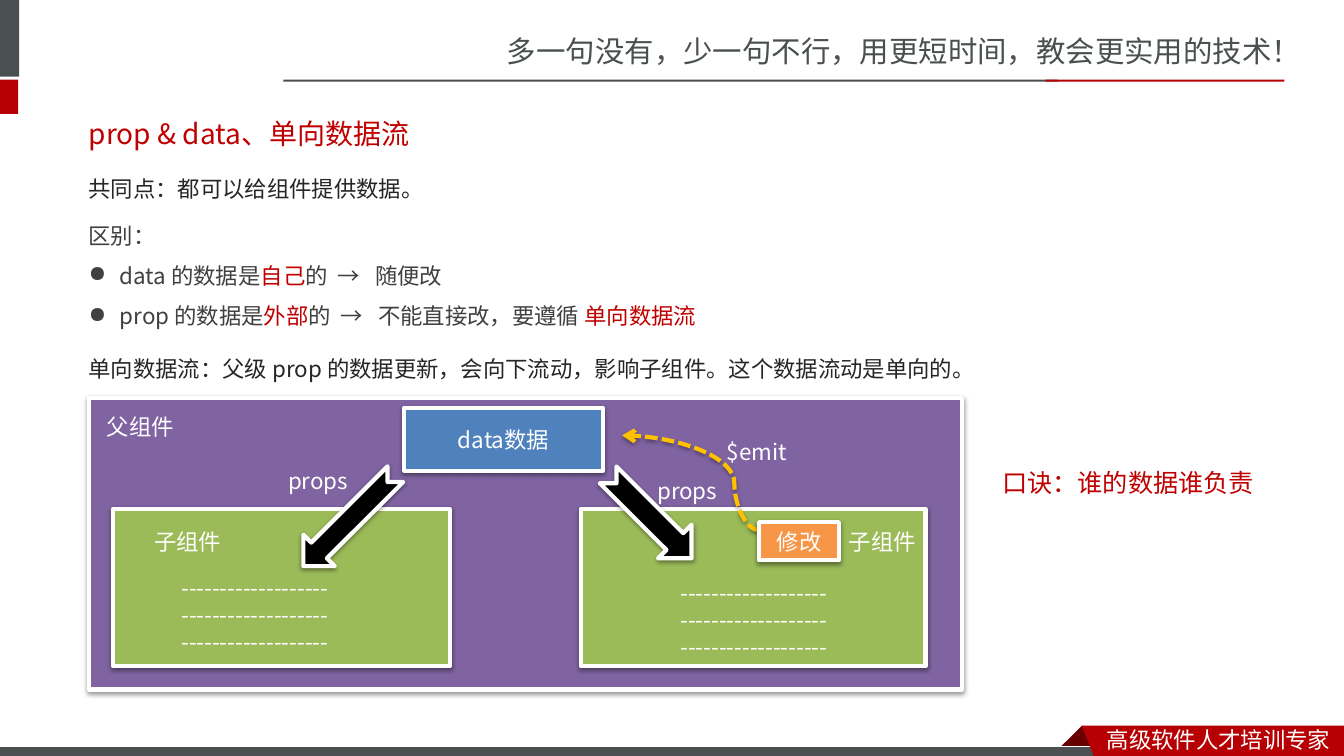
from lxml import etree
from pptx import Presentation, util as u
from pptx.dml.color import RGBColor
from pptx.enum import dml, shapes, text
from pptx.oxml.ns import qn

PX = 9144  # EMU in one px, 100 px to the inch
SANS = "Noto Sans CJK JP"
HEAD = "Noto Sans CJK SC"
RED, GREY, WHITE = "C00000", "49504F", "FFFFFF"
CRIMSON, DARK, SOFT = "B60004", "262626", "404040"
RECT = shapes.MSO_SHAPE.RECTANGLE
ARROW = shapes.MSO_SHAPE.NOTCHED_RIGHT_ARROW


def rgb(code):
    return RGBColor.from_string(code)


def px(*nums):
    return [u.Emu(n * PX) for n in nums]


def sub(node, tag, **attrs):
    return etree.SubElement(node, qn(tag), attrs)


def style(para, size, color, face=SANS):
    font = para.font
    font.size, font.name = u.Pt(size), face
    font.color.rgb = rgb(color)
    sub(font._element, "a:ea", typeface=face)


def write(frame, lines, size, color, face=SANS):
    """Each line is a list of (words, colour); colour None keeps the base."""
    frame.word_wrap = True
    for i, line in enumerate(lines):
        para = frame.add_paragraph() if i else frame.paragraphs[0]
        style(para, size, color, face)
        for words, tint in line:
            run = para.add_run()
            run.text = words
            if tint:
                run.font.color.rgb = rgb(tint)
    return frame.paragraphs


def label(slide, box, words, size=16, color=WHITE, face=SANS):
    frame = slide.shapes.add_textbox(*px(*box)).text_frame
    lines = [[(line, None)] for line in words.split("\n")]
    return write(frame, lines, size, color, face)


def point(slide, box, words):
    para = label(slide, box, words, color=DARK)[0]
    para.line_spacing, para.space_before = 1.3, u.Pt(3.2)


def shade(shape):
    """Soft shadow that falls straight down."""
    effects = sub(shape._element.spPr, "a:effectLst")
    drop = sub(effects, "a:outerShdw", blurRad="40000", dist="20000",
               dir="5400000", rotWithShape="0")
    sub(sub(drop, "a:srgbClr", val="000000"), "a:alpha", val="38000")


def paint(shape, fill):
    shape.shadow.inherit = False
    shape.fill.solid()
    shape.fill.fore_color.rgb = rgb(fill)
    shape.line.fill.background()
    return shape


def bar(slide, box, fill):
    return paint(slide.shapes.add_shape(RECT, *px(*box)), fill)


def outline(slide, spots, fill):
    pen = slide.shapes.build_freeform(*spots[0], scale=PX)
    pen.add_line_segments(spots[1:], close=True)
    paint(pen.convert_to_shape(), fill)


def block(slide, box, fill, words="", kind=RECT, turn=0):
    shape = slide.shapes.add_shape(kind, *px(*box))
    shape.fill.solid()
    shape.fill.fore_color.rgb = rgb(fill)
    shape.line.color.rgb = rgb(WHITE)
    shape.line.width = u.Pt(3)
    shape.rotation = turn
    shade(shape)
    if words:
        frame = shape.text_frame
        frame.vertical_anchor = text.MSO_ANCHOR.MIDDLE
        para = write(frame, [[(words, None)]], 16, WHITE)[0]
        para.alignment = text.PP_ALIGN.CENTER


def curve(slide, ends, color, bend):
    link = slide.shapes.add_connector(shapes.MSO_CONNECTOR.CURVE, *px(*ends))
    link.line.color.rgb = rgb(color)
    link.line.width = u.Pt(3)
    link.line.dash_style = dml.MSO_LINE.SQUARE_DOT
    sub(link.line._get_or_add_ln(), "a:tailEnd", type="arrow")
    guides = link._element.spPr.find(qn("a:prstGeom")).get_or_add_avLst()
    sub(guides, "a:gd", name="adj1", fmla=f"val {bend}")
    shade(link)


def frame_page(slide):
    """Header and footer bands."""
    label(slide, (493, 28, 841, 47),
          "多一句没有，少一句不行，用更短时间，教会更实用的技术！", 21, GREY, HEAD)
    bar(slide, (-6, 0, 25, 76), GREY)
    bar(slide, (-6, 79, 24, 34), CRIMSON)
    bar(slide, (281, 79, 768, 2), GREY)
    bar(slide, (1037, 79, 237, 2), CRIMSON)
    outline(slide, [(1073, 720), (1095, 742), (1094, 743), (1052, 743),
                    (1051, 742)], "680000")
    strip = bar(slide, (-1, 741, 1100, 12), GREY)
    strip.line.color.rgb = rgb(WHITE)
    strip.line.width = u.Pt(0.75)
    outline(slide, [(1073, 720), (1333, 720), (1333, 754), (1086, 753)],
            CRIMSON)
    label(slide, (1088, 715, 245, 37), "高级软件人才培训专家", face=HEAD)


def head(slide, words):
    title = slide.shapes.title
    title.left, title.top, title.width, title.height = px(78, 104, 1172, 57)
    frame = title.text_frame
    frame.vertical_anchor = text.MSO_ANCHOR.MIDDLE
    para = write(frame, [[(words, None)]], 20, RED)[0]
    para.alignment = text.PP_ALIGN.LEFT


def contrast(slide):
    """How data and prop differ."""
    frame = slide.shapes.add_textbox(*px(78, 202, 890, 131)).text_frame
    paras = write(frame, [
        [("区别：", None)],
        [("data 的数据是", None), ("自己", RED), ("的  →   随便改", None)],
        [("prop 的数据是", None), ("外部", RED),
         ("的  →   不能直接改，要遵循 ", None), ("单向数据流", RED)],
    ], 16, SOFT)
    for i, para in enumerate(paras):
        para.line_spacing = 1.5
        if i:
            props = para._p.get_or_add_pPr()
            props.set("marL", str(31 * PX))
            props.set("indent", str(-31 * PX))
            mark = etree.Element(qn("a:buChar"), char="●")
            props.find(qn("a:defRPr")).addprevious(mark)


def diagram(slide):
    """Parent, two children and the flow between them."""
    block(slide, (88, 395, 866, 289), "8064A2")
    label(slide, (96, 405, 88, 37), "父组件")
    for left, width, name, dash, top in ((576, 342, 832, 665, 570),
                                         (112, 334, 143, 170, 565)):
        block(slide, (left, 505, width, 156), "9BBB59")
        label(slide, (name, 519, 88, 37), "子组件")
        label(slide, (dash, top, 206, 91), "\n".join(["-" * 19] * 3))
    block(slide, (401, 405, 197, 62), "4F81BD", "data数据")
    block(slide, (282, 494, 129, 44), "000000", kind=ARROW, turn=135)
    block(slide, (586, 489, 117, 47), "000000", kind=ARROW, turn=45)
    label(slide, (276, 459, 93, 37), "props")
    label(slide, (642, 468, 86, 37), "props")
    curve(slide, (753, 526, 617, 432), "FFC000", 18100)
    label(slide, (711, 430, 80, 37), "$emit")
    block(slide, (753, 518, 79, 38), "F79646", "修改")


def main():
    deck = Presentation()
    deck.slide_width, deck.slide_height = px(1333, 750)
    slide = deck.slides.add_slide(deck.slide_layouts[5])
    frame_page(slide)
    head(slide, "prop & data、单向数据流")
    point(slide, (78, 161, 591, 49), "共同点：都可以给组件提供数据。")
    contrast(slide)
    point(slide, (78, 339, 1095, 49),
          "单向数据流：父级 prop 的数据更新，会向下流动，影响子组件。这个数据流动是单向的。")
    diagram(slide)
    label(slide, (984, 459, 305, 40), "口诀：谁的数据谁负责", 18, RED)
    deck.save("out.pptx")


if __name__ == "__main__":
    main()
